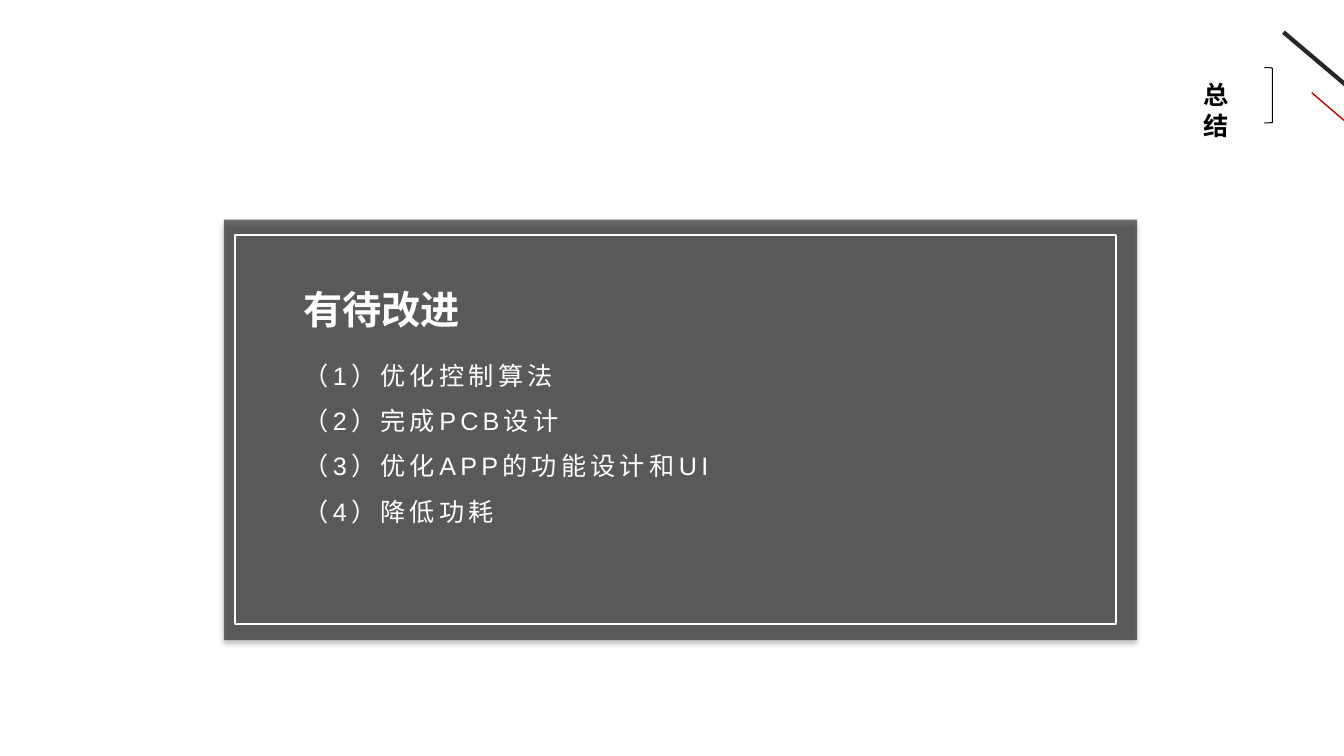
from dataclasses import dataclass
from typing import Optional

from lxml.etree import SubElement
from pptx import Presentation
from pptx.dml.color import RGBColor
from pptx.enum.shapes import MSO_CONNECTOR, MSO_SHAPE
from pptx.enum.text import MSO_ANCHOR, MSO_AUTO_SIZE, PP_ALIGN
from pptx.oxml import parse_xml
from pptx.oxml.ns import nsdecls, qn
from pptx.util import Emu, Pt

PX = 9144  # EMU per px, 100 px to the inch
FONT = "Arial"
INK, WHITE, BLACK, RED = "262626", "FFFFFF", "000000", "C00000"

Box = tuple[int, int, int, int]


@dataclass
class Stroke:
    start: tuple[int, int]
    end: tuple[int, int]
    color: str
    weight: float


@dataclass
class Frame:
    preset: MSO_SHAPE
    box: Box
    line: Optional[str] = None
    weight: float = 1
    fill: Optional[str] = None
    opacity: int = 100
    shadow: bool = False


CORNER_STROKES = [
    Stroke((1273, 32), (1358, 104), INK, 3),
    Stroke((1301, 92), (1343, 128), RED, 1),
]
FRAMES = [
    Frame(MSO_SHAPE.RIGHT_BRACKET, (1254, 67, 8, 55), line=BLACK, weight=0.75),
    Frame(MSO_SHAPE.RECTANGLE, (222, 218, 906, 417), fill=INK, opacity=66, shadow=True),
    Frame(MSO_SHAPE.RECTANGLE, (233, 233, 874, 386), line=WHITE),
]
IMPROVEMENTS = ["优化控制算法", "完成PCB设计", "优化APP的功能设计和UI", "降低功耗"]

SHADOW = (
    f'<a:effectLst {nsdecls("a")}><a:outerShdw blurRad="{Pt(4)}" dist="{Pt(3)}" '
    'dir="5400000" algn="t" rotWithShape="0"><a:srgbClr val="000000">'
    '<a:alpha val="40000"/></a:srgbClr></a:outerShdw></a:effectLst>'
)


def rgb(color: str) -> RGBColor:
    return RGBColor.from_string(color)


def px(*lengths: int) -> list[Emu]:
    return [Emu(length * PX) for length in lengths]


def draw_stroke(shapes, stroke: Stroke) -> None:
    connector = shapes.add_connector(MSO_CONNECTOR.STRAIGHT, *px(*stroke.start, *stroke.end))
    connector.line.color.rgb = rgb(stroke.color)
    connector.line.width = Pt(stroke.weight)
    SubElement(connector.element.spPr, qn("a:effectLst"))


def draw_frame(shapes, frame: Frame) -> None:
    shape = shapes.add_shape(frame.preset, *px(*frame.box))
    if frame.fill:
        shape.fill.solid()
        shape.fill.fore_color.rgb = rgb(frame.fill)
        tint = shape.element.spPr.find(qn("a:solidFill"))[0]
        SubElement(tint, qn("a:alpha"), val=str(frame.opacity * 1000))
    else:
        shape.fill.background()
    if frame.line:
        shape.line.color.rgb = rgb(frame.line)
        shape.line.width = Pt(frame.weight)
    else:
        shape.line.fill.background()
    if frame.shadow:
        shape.element.spPr.append(parse_xml(SHADOW))
    else:
        shape.shadow.inherit = False


def write(holder, box: Box, lines: list[str], *, size: int = 18, color: str = WHITE,
          bold: bool = False, wrap: bool = False, line_spacing: float = 1.0,
          tracking: int = 0) -> None:
    holder.left, holder.top, holder.width, holder.height = px(*box)
    frame = holder.text_frame
    frame.auto_size = MSO_AUTO_SIZE.NONE
    frame.word_wrap = wrap
    frame.vertical_anchor = MSO_ANCHOR.TOP
    frame.text = "\n".join(lines)
    for paragraph in frame.paragraphs:
        paragraph.alignment = PP_ALIGN.LEFT
        paragraph.line_spacing = line_spacing
        paragraph.space_before = Pt(0)
        properties = paragraph._p.get_or_add_pPr()
        properties.set("marL", "0")
        properties.set("indent", "0")
        SubElement(properties, qn("a:buNone"))
        for run in paragraph.runs:
            run.font.name = FONT
            run.font.size = Pt(size)
            run.font.bold = bold
            run.font.color.rgb = rgb(color)
            if tracking:
                run.font._element.set("spc", str(tracking * 100))


def main() -> None:
    deck = Presentation()
    deck.slide_width, deck.slide_height = px(1333, 750)
    slide = deck.slides.add_slide(deck.slide_layouts[1])
    shapes = slide.shapes
    section, improvements = slide.placeholders

    # Corner lines, title bracket and panel
    corner = shapes.add_group_shape()
    for stroke in CORNER_STROKES:
        draw_stroke(corner.shapes, stroke)
    for frame in FRAMES:
        draw_frame(shapes, frame)

    # Placeholders go in front of the panel
    for holder in (improvements, section):
        shapes.element.append(holder.element)

    # Texts
    numbered = [f"（{number}）{text}" for number, text in enumerate(IMPROVEMENTS, 1)]
    write(improvements, (291, 337, 517, 237), numbered, wrap=True,
          line_spacing=1.5, tracking=3)
    write(section, (1184, 74, 70, 40), ["总结"], color=BLACK, bold=True)
    heading_box = (291, 278, 176, 57)
    heading = shapes.add_textbox(*px(*heading_box))
    write(heading, heading_box, ["有待改进"], size=28, bold=True)

    deck.save("out.pptx")


if __name__ == "__main__":
    main()
